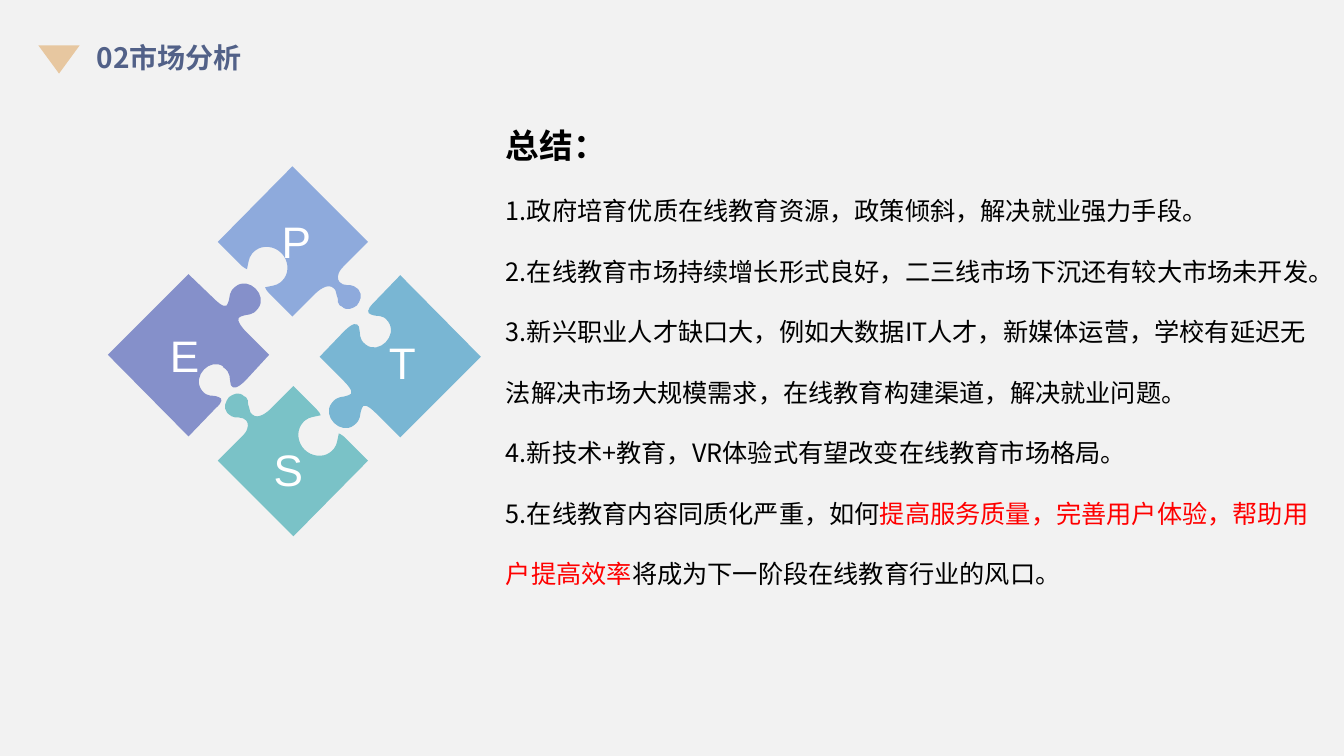
from lxml import etree
from pptx import Presentation
from pptx.dml.color import RGBColor
from pptx.enum.shapes import MSO_SHAPE
from pptx.enum.text import MSO_ANCHOR, MSO_AUTO_SIZE, PP_ALIGN
from pptx.oxml.ns import qn
from pptx.util import Inches, Pt

CJK_FONT = "Noto Sans CJK SC"
BLACK, RED, WHITE = "000000", "FF0000", "FFFFFF"

SUMMARY = [
    [("1.政府培育优质在线教育资源，政策倾斜，解决就业强力手段。", BLACK)],
    [("2.在线教育市场持续增长形式良好，二三线市场下沉还有较大市场未开发。", BLACK)],
    [("3.新兴职业人才缺口大，例如大数据IT人才，新媒体运营，学校有延迟"
      "无法解决市场大规模需求，在线教育构建渠道，解决就业问题。", BLACK)],
    [("4.新技术+教育，VR体验式有望改变在线教育市场格局。", BLACK)],
    [("5.在线教育内容同质化严重，如何", BLACK),
     ("提高服务质量，完善用户体验，帮助用户提高效率", RED),
     ("将成为下一阶段在线教育行业的风口。", BLACK)],
]

# Two numbers end a straight edge; six numbers are a Bezier curve.
SIDE_PIECE = [
    (0.46, 0.69), (0.38, 0.63, 0.41, 0.58, 0.39, 0.51),
    (0.37, 0.47, 0.33, 0.47, 0.24, 0.56), (0, 0.81), (0.24, 1.05),
    (0.33, 1.14, 0.33, 1.18, 0.29, 1.19), (0.22, 1.22, 0.18, 1.19, 0.12, 1.27),
    (0.02, 1.4, 0.21, 1.59, 0.34, 1.49), (0.42, 1.43, 0.39, 1.39, 0.42, 1.32),
    (0.43, 1.28, 0.47, 1.28, 0.56, 1.37), (0.8, 1.61), (1.6, 0.81), (0.8, 0),
    (0.53, 0.28), (0.47, 0.34, 0.47, 0.38, 0.51, 0.39),
    (0.58, 0.42, 0.62, 0.38, 0.68, 0.46), (0.78, 0.6, 0.59, 0.79, 0.46, 0.69),
]
TURNED_SIDE_PIECE = [tuple(1.61 - value for value in segment) for segment in SIDE_PIECE]
END_PIECE = [
    (0.53, 1.28), (0.48, 1.23, 0.47, 1.21, 0.47, 1.2),
    (0.49, 1.19, 0.5, 1.19, 0.52, 1.19), (0.56, 1.18, 0.61, 1.18, 0.66, 1.11),
    (0.71, 1.04, 0.7, 0.93, 0.63, 0.86), (0.56, 0.79, 0.45, 0.78, 0.38, 0.83),
    (0.31, 0.88, 0.31, 0.93, 0.3, 0.97), (0.3, 0.99, 0.3, 1, 0.29, 1.02),
    (0.28, 1.02, 0.27, 1.01, 0.24, 0.99), (0, 0.75), (0.74, 0), (1.49, 0.75),
    (1.28, 0.96), (1.24, 1, 1.21, 1.03, 1.2, 1.06),
    (1.18, 1.11, 1.2, 1.14, 1.21, 1.15), (1.22, 1.16, 1.23, 1.16, 1.24, 1.17),
    (1.27, 1.18, 1.3, 1.18, 1.32, 1.18), (1.35, 1.19, 1.36, 1.19, 1.38, 1.21),
    (1.39, 1.21, 1.39, 1.22, 1.4, 1.23), (1.44, 1.28, 1.41, 1.34, 1.38, 1.38),
    (1.34, 1.41, 1.28, 1.44, 1.23, 1.39), (1.21, 1.38),
    (1.19, 1.36, 1.19, 1.34, 1.19, 1.31), (1.18, 1.29, 1.18, 1.27, 1.17, 1.24),
    (1.17, 1.23, 1.16, 1.22, 1.15, 1.21), (1.09, 1.15, 0.99, 1.24, 0.96, 1.27),
    (0.74, 1.49),
]


def color(hex_value):
    """Return the colour for a hex string."""
    return RGBColor.from_string(hex_value)


def paint(shape, fill):
    """Give a shape a flat fill without line or shadow."""
    shape.shadow.inherit = False
    shape.fill.solid()
    shape.fill.fore_color.rgb = color(fill)
    shape.line.fill.background()


def write(paragraph, text, size, fill, font=CJK_FONT, bold=False, spacing=None, align=None):
    """Add a formatted run to a paragraph."""
    paragraph.line_spacing = spacing
    paragraph.alignment = align
    run = paragraph.add_run()
    run.text = text
    run.font.size = Pt(size)
    run.font.bold = bold
    run.font.color.rgb = color(fill)
    run.font.name = font
    etree.SubElement(run.font._element, qn("a:ea")).set("typeface", font)


def add_frame(shapes, left, top, width, height):
    """Add a wrapping text box and return its text frame."""
    box = shapes.add_textbox(Inches(left), Inches(top), Inches(width), Inches(height))
    box.text_frame.word_wrap = True
    return box.text_frame


def bend_edges(piece, outline):
    """Turn the edges that have control points into Bezier curves."""
    edges = list(piece._element.iter(qn("a:lnTo")))
    for edge, segment in zip(edges, outline[1:]):
        if len(segment) == 6:
            curve = etree.Element(qn("a:cubicBezTo"))
            for x, y in zip(segment[::2], segment[1::2]):
                point = etree.SubElement(curve, qn("a:pt"))
                point.set("x", str(Inches(x)))
                point.set("y", str(Inches(y)))
            edge.getparent().replace(edge, curve)


def add_piece(shapes, outline, left, top, fill, rotation):
    """Draw one puzzle piece at the given corner."""
    corners = [(Inches(left + segment[-2]), Inches(top + segment[-1])) for segment in outline]
    builder = shapes.build_freeform(*corners[0])
    builder.add_line_segments(corners[1:], close=True)
    piece = builder.convert_to_shape()
    bend_edges(piece, outline)
    paint(piece, fill)
    piece.rotation = rotation


def add_puzzle(shapes, left, top):
    """Draw the four PEST pieces and their letters."""
    pieces = [
        (SIDE_PIECE, 2.11, 1.08, "79B6D3", 0),
        (END_PIECE, 1.1, 0, "8EAADC", 0),
        (TURNED_SIDE_PIECE, 0, 1.07, "8590CA", 0),
        (END_PIECE, 1.1, 2.18, "7AC2C7", 180),
    ]
    letters = [("P", 1.53, 0.36), ("S", 1.45, 2.63), ("E", 0.42, 1.49), ("T", 2.58, 1.56)]
    for outline, x, y, fill, rotation in pieces:
        add_piece(shapes, outline, left + x, top + y, fill, rotation)
    for letter, x, y in letters:
        frame = add_frame(shapes, left + x, top + y, 0.7, 0.7)
        frame.vertical_anchor = MSO_ANCHOR.MIDDLE
        write(frame.paragraphs[0], letter, 31.5, WHITE, font="Arial",
              spacing=1.1, align=PP_ALIGN.CENTER)


def add_summary(shapes, left, top, width, height):
    """Write the heading and the numbered conclusions."""
    frame = add_frame(shapes, left, top, width, height)
    frame.auto_size = MSO_AUTO_SIZE.SHAPE_TO_FIT_TEXT
    write(frame.paragraphs[0], "总结：", 24, BLACK, bold=True, spacing=2.0)
    for conclusion in SUMMARY:
        paragraph = frame.add_paragraph()
        for text, fill in conclusion:
            write(paragraph, text, 18, fill, spacing=2.0)


def add_header(shapes, left, top):
    """Draw the section marker and title as one group."""
    group = shapes.add_group_shape()
    marker = group.shapes.add_shape(MSO_SHAPE.ISOSCELES_TRIANGLE, Inches(left),
                                    Inches(top + 0.1), Inches(0.41), Inches(0.28))
    marker.rotation = 180
    paint(marker, "E7C7A0")
    frame = add_frame(group.shapes, left + 0.48, top, 1.79, 0.44)
    frame.auto_size = MSO_AUTO_SIZE.SHAPE_TO_FIT_TEXT
    write(frame.paragraphs[0], "02市场分析", 20, "526188", bold=True)


def main():
    """Build and save the market analysis slide."""
    presentation = Presentation()
    presentation.slide_width = Inches(13.33)
    presentation.slide_height = Inches(7.5)
    slide = presentation.slides.add_slide(presentation.slide_layouts[6])
    slide.background.fill.solid()
    slide.background.fill.fore_color.rgb = color("F2F2F2")
    add_summary(slide.shapes, 4.92, 0.79, 8.19, 5.15)
    add_puzzle(slide.shapes, 1.06, 1.65)
    add_header(slide.shapes, 0.38, 0.35)
    presentation.save("out.pptx")


if __name__ == "__main__":
    main()
